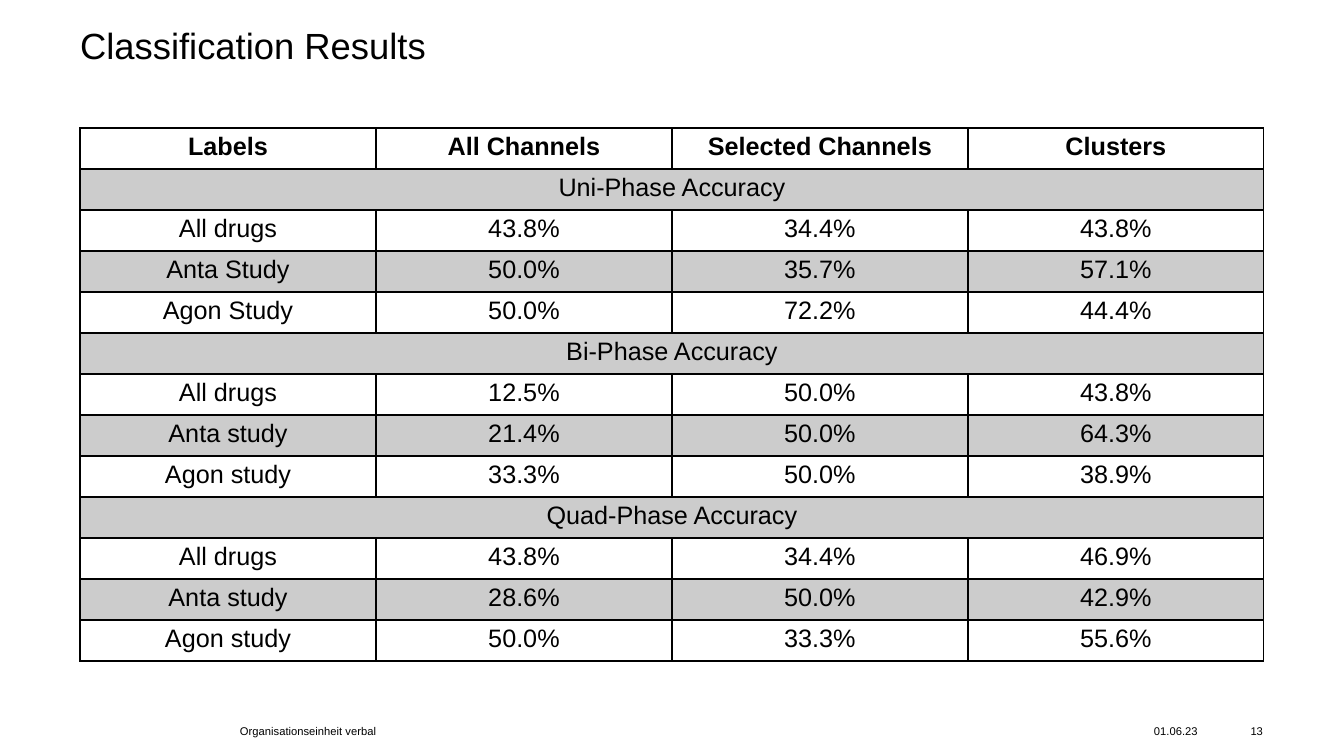
from dataclasses import dataclass

from lxml.etree import SubElement
from pptx import Presentation
from pptx.dml.color import RGBColor
from pptx.enum.text import MSO_ANCHOR, PP_ALIGN
from pptx.oxml.ns import qn
from pptx.util import Emu, Pt

TITLE = "Classification Results"
HEADERS = ("Labels", "All Channels", "Selected Channels", "Clusters")
PHASES = {
    "Uni-Phase Accuracy": (
        ("All drugs", "43.8%", "34.4%", "43.8%"),
        ("Anta Study", "50.0%", "35.7%", "57.1%"),
        ("Agon Study", "50.0%", "72.2%", "44.4%"),
    ),
    "Bi-Phase Accuracy": (
        ("All drugs", "12.5%", "50.0%", "43.8%"),
        ("Anta study", "21.4%", "50.0%", "64.3%"),
        ("Agon study", "33.3%", "50.0%", "38.9%"),
    ),
    "Quad-Phase Accuracy": (
        ("All drugs", "43.8%", "34.4%", "46.9%"),
        ("Anta study", "28.6%", "50.0%", "42.9%"),
        ("Agon study", "50.0%", "33.3%", "55.6%"),
    ),
}
FOOTER = (
    ("01.06.23", 1154, 68, PP_ALIGN.LEFT),
    ("Organisationseinheit verbal", 240, 596, PP_ALIGN.LEFT),
    ("13", 1228, 35, PP_ALIGN.RIGHT),
)

SLIDE_WIDTH, SLIDE_HEIGHT = 1344, 756
TABLE_LEFT, TABLE_TOP = 80, 128
COLUMN_WIDTH, ROW_HEIGHT = 296, 41
FOOTER_TOP, FOOTER_HEIGHT = 719, 24


@dataclass(frozen=True)
class Theme:
    font: str = "Arial"
    ink: str = "000000"
    paper: str = "FFFFFF"
    band: str = "CCCCCC"
    title_size: int = 26
    table_size: int = 18
    footer_size: int = 8
    line: int = 1
    header_line: int = 2


THEME = Theme()


def px(length):
    return Emu(round(length * 914400 / 100.8))


def write(frame, text, size, align, bold=False):
    para = frame.paragraphs[0]
    para.text = text
    para.alignment = align
    para.font.name = THEME.font
    para.font.size = Pt(size)
    para.font.bold = bold
    para.font.color.rgb = RGBColor.from_string(THEME.ink)
    return para


def add_text(page, text, bounds, size, align=PP_ALIGN.LEFT, anchor=MSO_ANCHOR.MIDDLE):
    frame = page.shapes.add_textbox(*map(px, bounds)).text_frame
    frame.word_wrap = True
    frame.vertical_anchor = anchor
    frame.margin_left = frame.margin_top = frame.margin_right = frame.margin_bottom = 0
    return write(frame, text, size, align)


def add_borders(cell, bottom_width):
    properties = cell._tc.get_or_add_tcPr()
    for side in "LRTB":
        width = bottom_width if side == "B" else THEME.line
        line = SubElement(properties, qn(f"a:ln{side}"), w=str(Pt(width)))
        fill = SubElement(line, qn("a:solidFill"))
        SubElement(fill, qn("a:srgbClr"), val=THEME.ink)


def add_results(page):
    rows = [HEADERS]
    for phase, results in PHASES.items():
        rows += [(phase,), *results]
    columns = len(HEADERS)
    bounds = (TABLE_LEFT, TABLE_TOP, columns * COLUMN_WIDTH, len(rows) * ROW_HEIGHT)
    table = page.shapes.add_table(len(rows), columns, *map(px, bounds)).table
    table.first_row = table.horz_banding = False
    for column in table.columns:
        column.width = px(COLUMN_WIDTH)
    for index, values in enumerate(rows):
        header = index == 0
        table.rows[index].height = px(ROW_HEIGHT)
        for cell in table.rows[index].cells:
            add_borders(cell, THEME.header_line if header else THEME.line)
            cell.fill.solid()
            color = THEME.band if index % 2 else THEME.paper
            cell.fill.fore_color.rgb = RGBColor.from_string(color)
        if len(values) == 1:
            table.cell(index, 0).merge(table.cell(index, columns - 1))
        for column, value in enumerate(values):
            frame = table.cell(index, column).text_frame
            write(frame, value, THEME.table_size, PP_ALIGN.CENTER, header)


def main():
    deck = Presentation()
    deck.slide_width, deck.slide_height = px(SLIDE_WIDTH), px(SLIDE_HEIGHT)
    page = deck.slides.add_slide(deck.slide_layouts[6])
    title = add_text(page, TITLE, (80, 28, 1184, 99), THEME.title_size, anchor=MSO_ANCHOR.TOP)
    title.line_spacing = 0.9
    add_results(page)
    for text, left, width, align in FOOTER:
        bounds = (left, FOOTER_TOP, width, FOOTER_HEIGHT)
        add_text(page, text, bounds, THEME.footer_size, align)
    deck.save("out.pptx")


if __name__ == "__main__":
    main()
